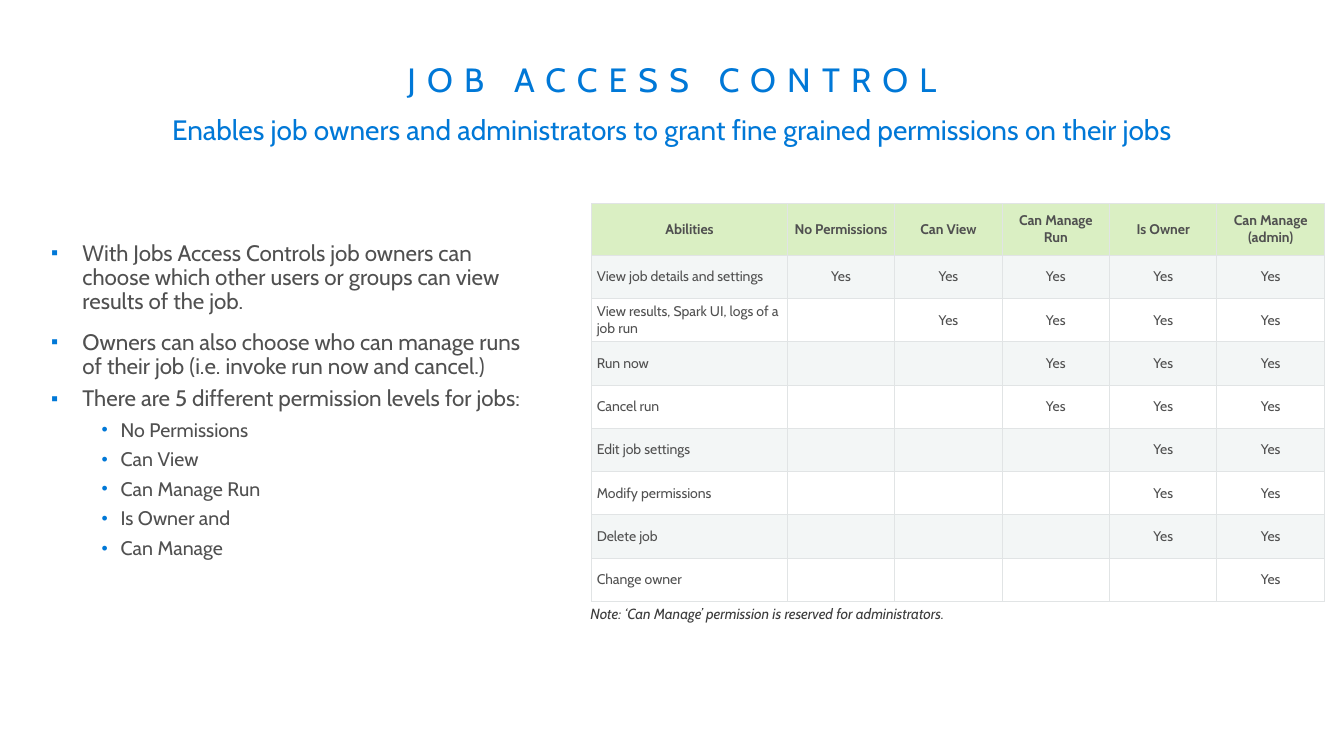
from lxml import etree
from pptx import Presentation
from pptx.dml.color import RGBColor
from pptx.enum import text as t
from pptx.oxml.ns import qn
from pptx.util import Cm, Pt

FACE = "Cabin"
BLUE, GREY, DARK = "0078D7", "505050", "3C3C3C"
HEAD, BAND, WHITE, RULE = "DAEFC3", "F3F6F6", "FFFFFF", "E1E4E5"

POINTS = [
    "With Jobs Access Controls job owners can choose which other users "
    "or groups can view results of the job.",
    "Owners can also choose who can manage runs of their job "
    "(i.e. invoke run now and cancel.)",
    "There are 5 different permission levels for jobs:",
]
LEVELS = ["No Permissions", "Can View", "Can Manage Run", "Is Owner and",
          "Can Manage"]
ROLES = ["Abilities", "No Permissions", "Can View", "Can Manage Run",
         "Is Owner", "Can Manage (admin)"]
# Each ability with the first column whose role holds it.
RIGHTS = [
    ("View job details and settings", 1),
    ("View results, Spark UI, logs of a job run", 2),
    ("Run now", 3),
    ("Cancel run", 3),
    ("Edit job settings", 4),
    ("Modify permissions", 4),
    ("Delete job", 4),
    ("Change owner", 5),
]


def color(code):
    return RGBColor.from_string(code)


def style(para, size, code, bold=False, italic=False):
    font = para.font
    font.name, font.size = FACE, Pt(size)
    font.bold, font.italic = bold, italic
    font.color.rgb = color(code)


def place(shape, box):
    shape.left, shape.top, shape.width, shape.height = map(Cm, box)


def indent(para, left, hang=0):
    props = para._p.get_or_add_pPr()
    props.set("marL", str(Cm(left)))
    props.set("indent", str(-Cm(hang)))
    return props


def bullet(para, mark, left, hang):
    props = indent(para, left, hang)
    tint = etree.SubElement(props, qn("a:buClr"))
    etree.SubElement(tint, qn("a:srgbClr"), val=BLUE)
    etree.SubElement(props, qn("a:buSzPct"), val="90000")
    etree.SubElement(props, qn("a:buFont"), typeface="Arial")
    etree.SubElement(props, qn("a:buChar"), char=mark)


def add_box(slide, box):
    shape = slide.shapes.add_textbox(*map(Cm, box))
    shape.text_frame.word_wrap = True
    return shape.text_frame


def center(frame, words, size):
    """Fill a heading frame with one centred blue line."""
    frame.margin_left = frame.margin_right = Cm(0.41)
    frame.margin_top = frame.margin_bottom = Cm(0.25)
    para = frame.paragraphs[0]
    para.text = words
    para.alignment = t.PP_ALIGN.CENTER
    para.line_spacing = 0.9
    style(para, size, BLUE)
    return para


def add_heading(slide, box):
    left, top, width, height = box
    title = slide.shapes.title
    place(title, (left, top, width, 2.49))
    frame = title.text_frame
    frame.auto_size = t.MSO_AUTO_SIZE.NONE
    frame.vertical_anchor = t.MSO_ANCHOR.MIDDLE
    para = center(frame, "JOB ACCESS CONTROL", 24)
    para.runs[0]._r.get_or_add_rPr().set("spc", "800")
    below = add_box(slide, (left, top + 1.86, width, height - 1.86))
    center(below, "Enables job owners and administrators to grant fine "
                  "grained permissions on their jobs", 20)


def add_points(slide, box):
    frame = add_box(slide, box)
    lines = [(words, 0) for words in POINTS] + [(words, 1) for words in LEVELS]
    for i, (words, level) in enumerate(lines):
        para = frame.add_paragraph() if i else frame.paragraphs[0]
        para.text = words
        para.level = level
        para.line_spacing = 0.9
        para.space_before = Pt(5.8 if i == 1 else 0)
        para.space_after = Pt(6)
        bullet(para, *[("▪", 0.79, 0.79), ("•", 1.75, 0.48)][level])
        style(para, [16, 14][level], GREY)


def edge(cell):
    props = cell._tc.get_or_add_tcPr()
    for i, side in enumerate(("a:lnL", "a:lnR", "a:lnT", "a:lnB")):
        line = etree.Element(qn(side), w=str(Pt(0.75)))
        fill = etree.SubElement(line, qn("a:solidFill"))
        etree.SubElement(fill, qn("a:srgbClr"), val=RULE)
        props.insert(i, line)


def fill_cell(cell, words, row, col):
    cell.margin_left = cell.margin_right = Cm(0.13)
    cell.margin_top = cell.margin_bottom = Cm(0.05)
    cell.vertical_anchor = t.MSO_ANCHOR.MIDDLE
    cell.fill.solid()
    cell.fill.fore_color.rgb = color(
        HEAD if row == 0 else BAND if row % 2 else WHITE)
    edge(cell)
    para = cell.text_frame.paragraphs[0]
    para.text = words
    if row == 0 or col > 0:
        para.alignment = t.PP_ALIGN.CENTER
    style(para, 10, GREY, bold=row == 0)


def add_rights(slide, box):
    """Table of abilities by role, with a note under it."""
    left, top, width, height = box
    data = [ROLES] + [
        [name] + ["Yes" if col >= first else "" for col in range(1, len(ROLES))]
        for name, first in RIGHTS]
    grid = slide.shapes.add_table(len(data), len(ROLES), *map(Cm, box)).table
    wide, tall = 4.93, 1.3
    for i, col in enumerate(grid.columns):
        col.width = Cm((width - wide) / (len(ROLES) - 1) if i else wide)
    for i, row in enumerate(grid.rows):
        row.height = Cm((height - tall) / len(RIGHTS) if i else tall)
    for r, line in enumerate(data):
        for c, words in enumerate(line):
            fill_cell(grid.cell(r, c), words, r, c)

    note = add_box(slide, (left - 0.53, top + height, 10.9, 0.66))
    para = note.paragraphs[0]
    para.text = "Note: ‘Can Manage’ permission is reserved for administrators."
    para.line_spacing = 0.9
    indent(para, 0.25)
    style(para, 10.5, DARK, italic=True)


def main():
    deck = Presentation()
    deck.slide_width, deck.slide_height = Cm(33.87), Cm(19.05)
    slide = deck.slides.add_slide(deck.slide_layouts[5])
    add_heading(slide, (0.74, 0.81, 32.39, 3.13))
    add_points(slide, (1.04, 5.97, 12.73, 8.36))
    add_rights(slide, (14.91, 5.13, 18.47, 10.03))
    deck.save("out.pptx")


if __name__ == "__main__":
    main()
